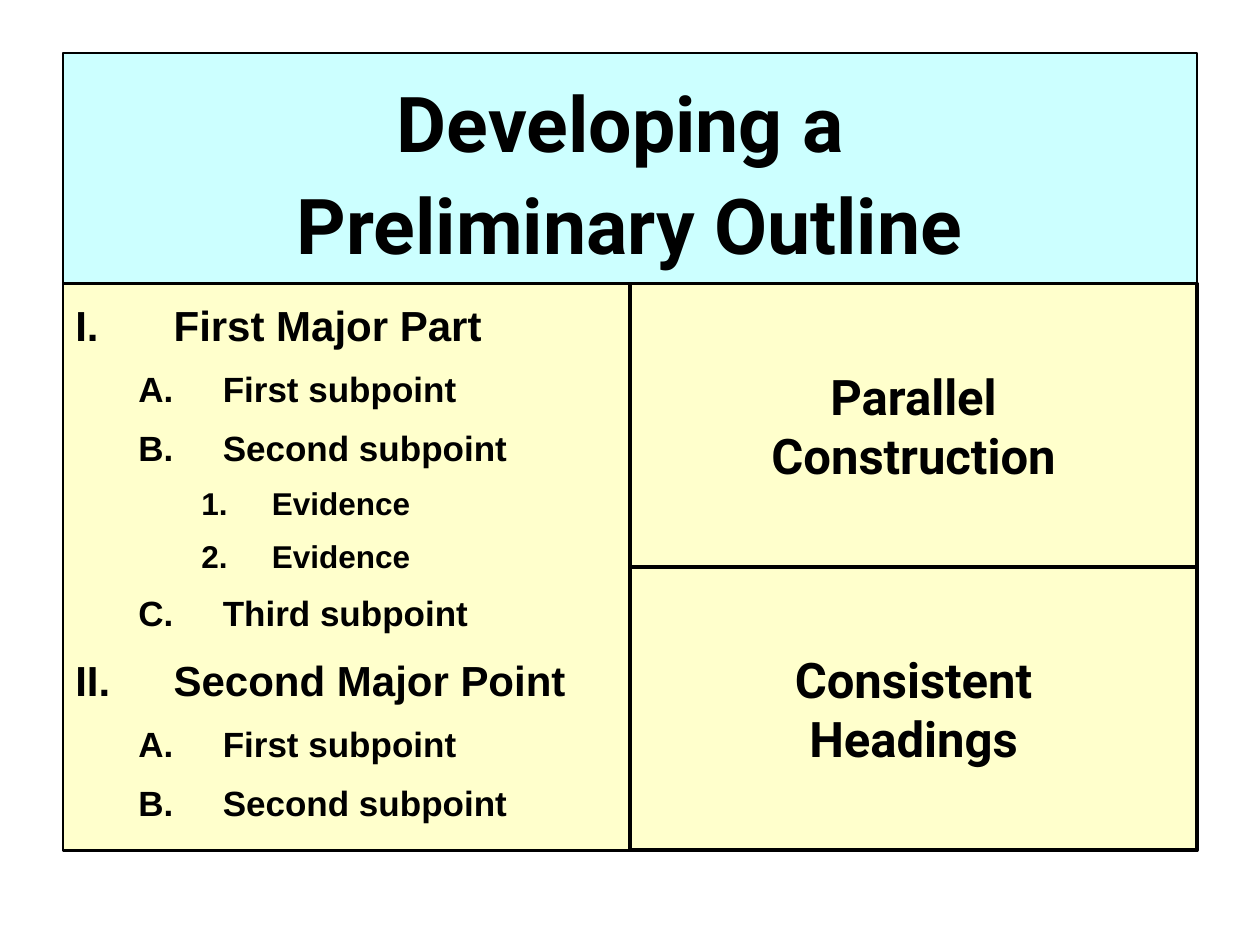
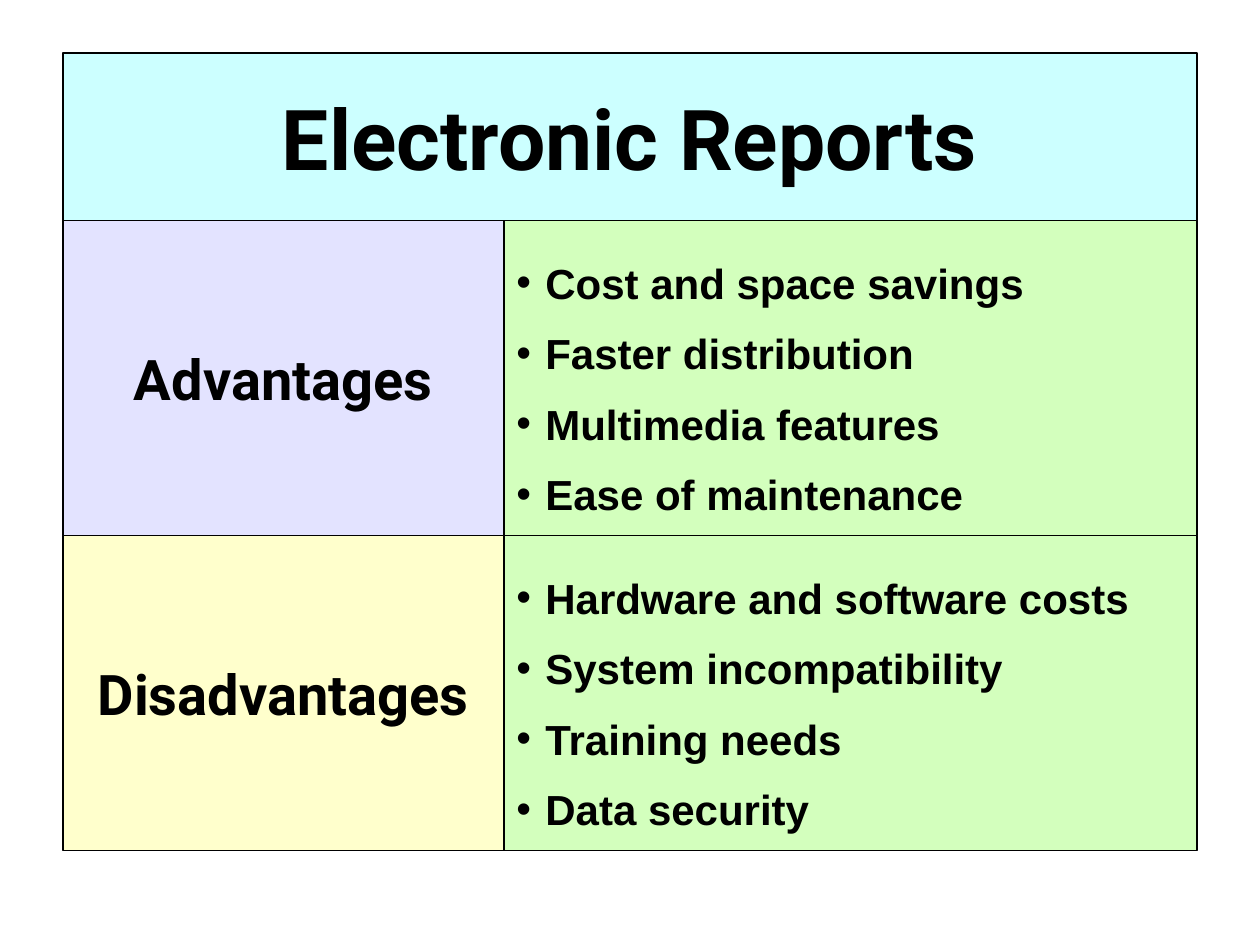
from pptx import Presentation
from pptx.dml.color import RGBColor
from pptx.enum.shapes import MSO_SHAPE as Shape
from pptx.enum.text import MSO_ANCHOR as Anchor, PP_ALIGN as Align
from pptx.oxml.ns import qn
from pptx.util import Inches, Pt
from lxml import etree

# Content
OUTLINE_TITLE = "Developing a \vPreliminary Outline"
OUTLINE = [
    (0, "First Major Part"),
    (1, "First subpoint"),
    (1, "Second subpoint"),
    (2, "Evidence"),
    (2, "Evidence"),
    (1, "Third subpoint"),
    (0, "Second Major Point"),
    (1, "First subpoint"),
    (1, "Second subpoint"),
]
PRINCIPLES = [["Parallel", "Construction"], ["Consistent", "Headings"]]

REPORTS_TITLE = "Electronic Reports"
REPORTS = [
    ("Advantages", "E3E3FF", ["Cost and space savings", "Faster distribution",
                              "Multimedia features", "Ease of maintenance"]),
    ("Disadvantages", "FFFFCC", ["Hardware and software costs", "System incompatibility",
                                 "Training needs", "Data security"]),
]

# Shared style
BLACK, CYAN, YELLOW, GREEN = "000000", "CCFFFF", "FFFFCC", "D3FFBD"
HEADING_FONT, BODY_FONT = "Roboto", "Arial"
LEFT, TOP, WIDTH, BOTTOM = 0.5, 0.42, 9, 6.75

# Outline levels: numbering, text indent, hanging indent, size, space before
LEVELS = [
    ("romanUcPeriod", 0.78, 0.78, 24, 6),
    ("alphaUcPeriod", 1.17, 0.67, 20, 5),
    ("arabicPeriod", 1.56, 0.56, 18, 4.5),
]


def color(hex_text):
    return RGBColor.from_string(hex_text)


def add_panel(page, left, top, width, height, fill, line, wrap=True, anchor=Anchor.MIDDLE):
    """Add a filled, outlined rectangle and return its text frame."""
    box = page.shapes.add_shape(Shape.RECTANGLE, *map(Inches, (left, top, width, height)))
    box.shadow.inherit = False
    box.fill.solid()
    box.fill.fore_color.rgb = color(fill)
    box.line.color.rgb = color(BLACK)
    box.line.width = Pt(line)
    frame = box.text_frame
    frame.word_wrap = wrap
    frame.vertical_anchor = anchor
    return frame


def add_bullet(para, indent, hanging, tag, **attributes):
    props = para._p.get_or_add_pPr()
    props.set("marL", str(Inches(indent)))
    props.set("indent", str(-Inches(hanging)))
    etree.SubElement(props, qn("a:buFont"), typeface=BODY_FONT)
    etree.SubElement(props, qn(tag), **attributes)


def next_para(frame, index, text):
    para = frame.paragraphs[0] if index == 0 else frame.add_paragraph()
    para.text = text
    return para


def style(para, font, size, align, spacing=1.0):
    para.alignment = align
    para.line_spacing = spacing
    para.font.name = font
    para.font.size = Pt(size)
    para.font.bold = True
    para.font.color.rgb = color(BLACK)


def fill_heading(frame, lines, size, spacing=1.0):
    for index, text in enumerate(lines):
        style(next_para(frame, index, text), HEADING_FONT, size, Align.CENTER, spacing)


def add_title(page, text, bottom, size, line, spacing=1.0):
    frame = add_panel(page, LEFT, TOP, WIDTH, bottom - TOP, CYAN, line)
    fill_heading(frame, [text], size, spacing)


def build_outline_page(page):
    top, half = 2.25, WIDTH / 2

    # Numbered outline on the left
    frame = add_panel(page, LEFT, top, half, BOTTOM - top, YELLOW, 1.5, anchor=Anchor.TOP)
    for index, (level, text) in enumerate(OUTLINE):
        numbering, indent, hanging, size, before = LEVELS[level]
        para = next_para(frame, index, text)
        para.level = level
        add_bullet(para, indent, hanging, "a:buAutoNum", type=numbering)
        if index:
            para.space_before = Pt(before)
        style(para, BODY_FONT, size, Align.LEFT, 1.2)

    add_title(page, OUTLINE_TITLE, top, 44, 1.5, 1.1)

    # Stacked principles on the right
    height = (BOTTOM - top) / len(PRINCIPLES)
    for row, lines in enumerate(PRINCIPLES):
        frame = add_panel(page, LEFT + half, top + row * height, half, height,
                          YELLOW, 2.25, wrap=False)
        fill_heading(frame, lines, 28)


def build_reports_page(page):
    top, label_width = 1.75, 3.5
    add_title(page, REPORTS_TITLE, top, 48, 1)

    # One row per side: label, then its points
    height = (BOTTOM - top) / len(REPORTS)
    for row, (label, fill, points) in enumerate(REPORTS):
        row_top = top + row * height
        frame = add_panel(page, LEFT + label_width, row_top, WIDTH - label_width, height,
                          GREEN, 0.75, wrap=False)
        for index, text in enumerate(points):
            para = next_para(frame, index, text)
            add_bullet(para, 0.23, 0.23, "a:buChar", char="•")
            style(para, BODY_FONT, 24, Align.LEFT, 1.4)
        frame = add_panel(page, LEFT, row_top, label_width, height, fill, 1, wrap=False)
        fill_heading(frame, [label], 32)


def main():
    deck = Presentation()
    deck.slide_width, deck.slide_height = Inches(10), Inches(7.5)
    for build in (build_outline_page, build_reports_page):
        build(deck.slides.add_slide(deck.slide_layouts[6]))
    deck.save("out.pptx")


if __name__ == "__main__":
    main()
